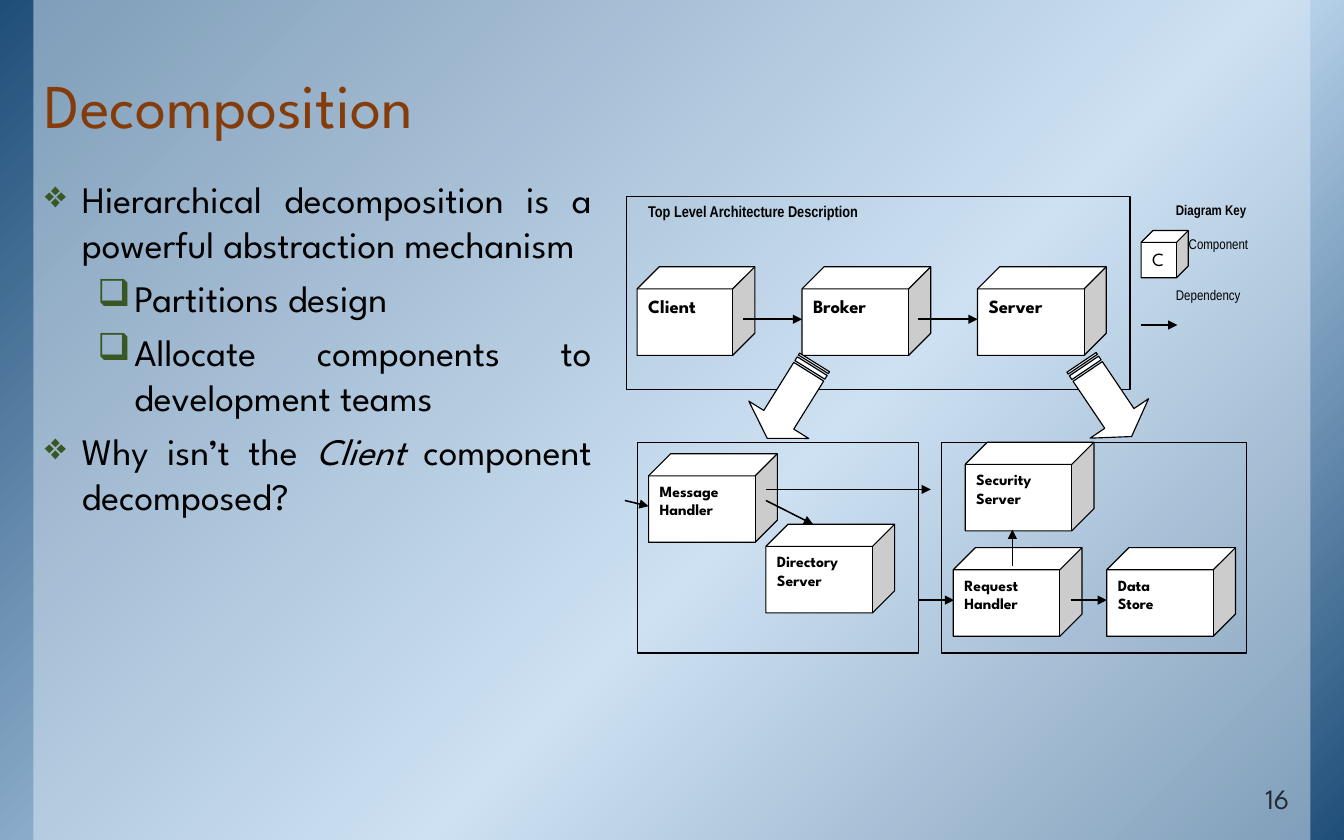
import copy
import dataclasses

import lxml.etree
import pptx
import pptx.dml.color
import pptx.enum.shapes
import pptx.enum.text
import pptx.oxml
import pptx.oxml.ns
import pptx.util

Cm = pptx.util.Cm
Pt = pptx.util.Pt
Shape = pptx.enum.shapes.MSO_SHAPE
Align = pptx.enum.text.PP_ALIGN
Anchor = pptx.enum.text.MSO_ANCHOR
qn = pptx.oxml.ns.qn


@dataclasses.dataclass(frozen=True)
class Theme:
    font: str = "League Spartan"
    label_font: str = "Arial Narrow"
    ink: str = "000000"
    paper: str = "FFFFFF"
    edge: str = "1F4E79"
    glow: str = "BDD7EE"
    panel: str = "DEEBF7"
    title: str = "843C0B"
    bullet: str = "385723"
    number: str = "222A35"
    title_size: int = 40
    body_size: int = 24
    number_size: int = 18
    component_size: int = 12
    part_size: int = 10
    key_size: int = 9


theme = Theme()


def add_shape(kind, box, fill=None, line=theme.ink):
    shape = slide.shapes.add_shape(kind, *map(Cm, box))
    shape.shadow.inherit = False
    if fill:
        shape.fill.solid()
        shape.fill.fore_color.rgb = pptx.dml.color.RGBColor.from_string(fill)
    else:
        shape.fill.background()
    if line:
        shape.line.color.rgb = pptx.dml.color.RGBColor.from_string(line)
        shape.line.width = Pt(0.75)
    else:
        shape.line.fill.background()
    return shape


def write(shape, text, size, font=theme.font, color=theme.ink, bold=False, align=Align.LEFT,
          anchor=Anchor.TOP, insets=(0.25, 0.13), bullet=None, indent=0, hanging=0,
          before=0, after=0, spacing=None):
    """Append one paragraph; words between asterisks are italic."""
    frame = shape.text_frame
    frame.word_wrap = True
    frame.vertical_anchor = anchor
    frame.margin_left = frame.margin_right = Cm(insets[0])
    frame.margin_top = frame.margin_bottom = Cm(insets[1])
    paragraph = frame.add_paragraph() if frame.text else frame.paragraphs[0]
    paragraph.alignment = align
    paragraph.space_before, paragraph.space_after = Pt(before), Pt(after)
    if spacing:
        paragraph.line_spacing = spacing
    properties = paragraph._p.get_or_add_pPr()
    properties.set("marL", str(Cm(indent)))
    properties.set("indent", str(Cm(-hanging)))
    if bullet:
        bullet_color = lxml.etree.SubElement(properties, qn("a:buClr"))
        lxml.etree.SubElement(bullet_color, qn("a:srgbClr"), val=theme.bullet)
        lxml.etree.SubElement(properties, qn("a:buChar"), char=bullet)
    for position, part in enumerate(text.split("*")):
        run = paragraph.add_run()
        run.text = part
        run.font.name, run.font.size, run.font.bold = font, Pt(size), bold
        run.font.italic = position % 2 == 1
        run.font.color.rgb = pptx.dml.color.RGBColor.from_string(color)


presentation = pptx.Presentation()
presentation.slide_width, presentation.slide_height = Cm(30.48), Cm(19.05)
slide = presentation.slides.add_slide(presentation.slide_layouts[6])

# Background gradient and translucent panel
background = add_shape(Shape.RECTANGLE, (0, 0, 30.48, 19.05), line=None)
background.fill.gradient()
background.fill.gradient_angle = 315
stop_list = background._element.spPr.find(".//" + qn("a:gsLst"))
stop_list.insert(1, copy.deepcopy(stop_list[0]))
stops = ((0, theme.edge), (0.58, theme.glow), (1, theme.edge))
for stop, (position, color) in zip(background.fill.gradient_stops, stops):
    stop.position = position
    stop.color.rgb = pptx.dml.color.RGBColor.from_string(color)

panel = add_shape(Shape.RECTANGLE, (0.76, 0, 28.96, 19.05), theme.panel, None)
panel_color = panel._element.spPr.find(qn("a:solidFill"))[0]
lxml.etree.SubElement(panel_color, qn("a:alpha"), val="50000")

# Title, bullets and slide number
wide_insets = (0.33, 0.18)
title = slide.shapes.add_textbox(Cm(0.69), Cm(0.2), Cm(28.85), Cm(3.18))
write(title, "Decomposition", theme.title_size, color=theme.title, anchor=Anchor.BOTTOM,
      insets=wide_insets, spacing=0.85)

body = slide.shapes.add_textbox(Cm(0.69), Cm(3.81), Cm(13.06), Cm(13.54))
for bullet, indent, text in (
    ("❖", 0.84, "Hierarchical decomposition is a powerful abstraction mechanism"),
    ("❑", 2.03, "Partitions design"),
    ("❑", 2.03, "Allocate components to development teams"),
    ("❖", 0.84, "Why isn’t the *Client* component decomposed?"),
):
    write(body, text, theme.body_size, align=Align.JUSTIFY, insets=wide_insets,
          bullet=bullet, indent=indent, hanging=0.84, after=6)

number = slide.shapes.add_textbox(Cm(26.8), Cm(17.78), Cm(2.77), Cm(0.89))
write(number, "16", theme.number_size, color=theme.number, align=Align.RIGHT,
      anchor=Anchor.BOTTOM, insets=wide_insets)

# Frames of the top level and the two decomposed components
for box in ((14.2, 4.45, 11.43, 4.39), (21.36, 10.03, 6.91, 4.78), (14.45, 10.03, 6.38, 4.78)):
    add_shape(Shape.RECTANGLE, box)

heading = slide.shapes.add_textbox(Cm(14.45), Cm(4.45), Cm(8.79), Cm(1.19))
write(heading, "Top Level Architecture Description", theme.part_size,
      font=theme.label_font, bold=True)

# Component cubes
for lines, left, top, width, size in (
    (("Client",), 14.45, 6.05, 2.67, theme.component_size),
    (("Broker",), 18.19, 6.05, 2.92, theme.component_size),
    (("Server",), 22.17, 6.05, 2.92, theme.component_size),
    (("Security", "Server"), 21.89, 10.03, 2.92, theme.part_size),
    (("Message Handler",), 14.71, 10.29, 2.92, theme.part_size),
    (("Directory Server",), 17.37, 11.89, 2.92, theme.part_size),
    (("Data", "Store"), 25.1, 12.42, 2.92, theme.part_size),
    (("Request Handler",), 21.62, 12.42, 2.92, theme.part_size),
):
    cube = add_shape(Shape.CUBE, (left, top, width, 2.01), theme.paper)
    for line in lines:
        write(cube, line, size, bold=True)

# Diagram key
key = slide.shapes.add_textbox(Cm(26.42), Cm(4.45), Cm(2.92), Cm(3.99))
for text, bold, indent, before in (
    ("Diagram Key", True, 0, 0),
    ("Component", False, 0.29, 10.8),
    ("Dependency", False, 0, 21.6),
):
    write(key, text, theme.key_size, font=theme.label_font, bold=bold,
          indent=indent, before=before)
key_cube = add_shape(Shape.CUBE, (25.88, 5.23, 1.07, 1.07), theme.paper)
write(key_cube, "C", theme.component_size)

# Striped arrows from a component to its decomposition
for left, top, rotation in ((16.92, 8.28, 121.9), (24.08, 8.26, 56)):
    arrow = add_shape(Shape.STRIPED_RIGHT_ARROW, (left, top, 2.03, 1.6), theme.paper)
    arrow.adjustments[0], arrow.adjustments[1] = 0.5, 0.31
    arrow.rotation = rotation

# Dependency arrows, the first one in the key
for ends in (
    (25.88, 7.37, 26.7, 7.37),
    (16.84, 7.24, 18.19, 7.24),
    (20.83, 7.24, 22.17, 7.24),
    (17.37, 11.35, 18.44, 11.89),
    (17.37, 11.1, 21.11, 11.1),
    (24.28, 13.61, 25.1, 13.61),
    (22.96, 12.83, 22.96, 12.01),
    (20.83, 13.61, 21.64, 13.61),
    (14.17, 11.35, 14.71, 11.48),
):
    dependency = slide.shapes.add_connector(
        pptx.enum.shapes.MSO_CONNECTOR.STRAIGHT, *map(Cm, ends))
    dependency.line.color.rgb = pptx.dml.color.RGBColor.from_string(theme.ink)
    dependency.line.width = Pt(1)
    lxml.etree.SubElement(dependency.line._get_or_add_ln(), qn("a:tailEnd"), type="triangle")
    lxml.etree.SubElement(dependency._element.spPr, qn("a:effectLst"))

presentation.save("out.pptx")
